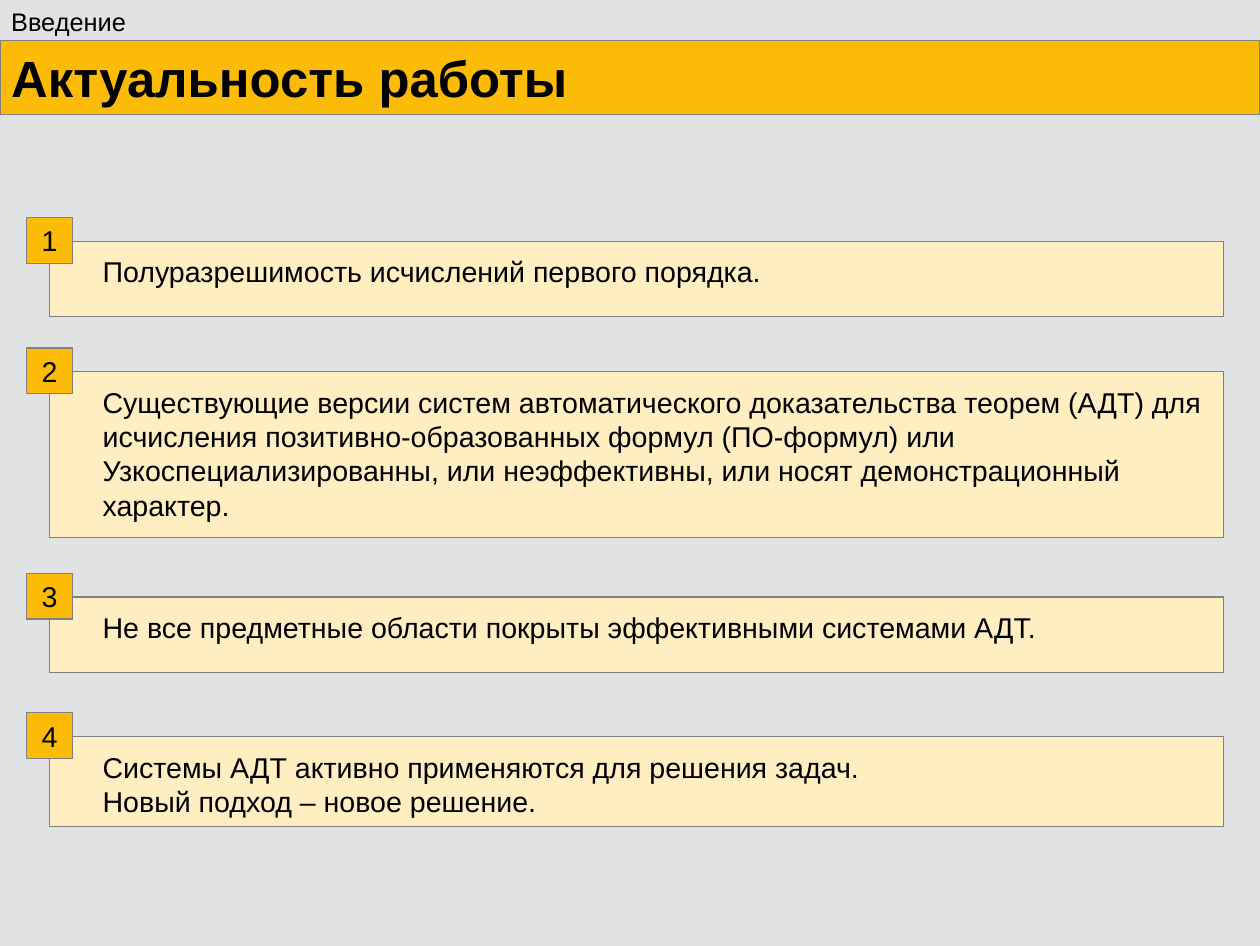
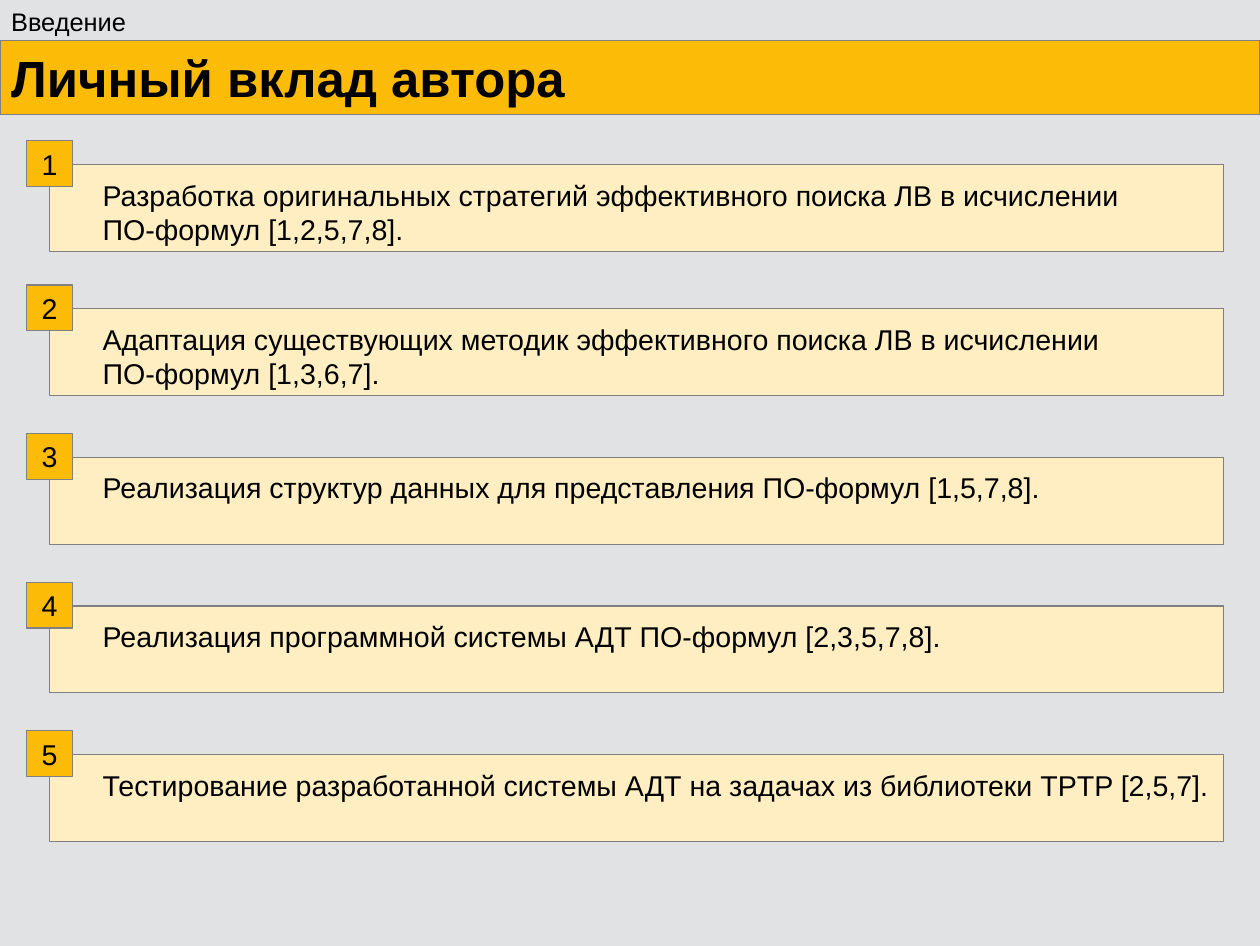
from dataclasses import dataclass

from pptx import Presentation
from pptx.dml.color import RGBColor
from pptx.enum.shapes import MSO_SHAPE
from pptx.enum.text import MSO_ANCHOR, PP_ALIGN
from pptx.util import Cm, Pt

RECT = MSO_SHAPE.RECTANGLE
TOP, MIDDLE = MSO_ANCHOR.TOP, MSO_ANCHOR.MIDDLE
LEFT, CENTER = PP_ALIGN.LEFT, PP_ALIGN.CENTER

# Content: each card is (top in cm, height in cm, lines)
SECTION = "Введение"
SLIDES = [
    ("Актуальность работы", [
        (5.36, 1.68, ["Полуразрешимость исчислений первого порядка."]),
        (8.26, 3.68, [
            "Существующие версии систем автоматического доказательства теорем (АДТ) для",
            "исчисления позитивно-образованных формул (ПО-формул) или",
            "Узкоспециализированны, или неэффективны, или носят демонстрационный",
            "характер."]),
        (13.26, 1.68, ["Не все предметные области покрыты эффективными системами АДТ."]),
        (16.36, 1.99, ["Системы АДТ активно применяются для решения задач.",
                       "Новый подход – новое решение."]),
    ]),
    ("Личный вклад автора", [
        (3.66, 1.93, ["Разработка оригинальных стратегий эффективного поиска ЛВ в исчислении",
                      "ПО-формул [1,2,5,7,8]."]),
        (6.86, 1.93, ["Адаптация существующих методик эффективного поиска ЛВ в исчислении",
                      "ПО-формул [1,3,6,7]."]),
        (10.16, 1.93, ["Реализация структур данных для представления ПО-формул [1,5,7,8]."]),
        (13.46, 1.93, ["Реализация программной системы АДТ ПО-формул [2,3,5,7,8]."]),
        (16.76, 1.93, ["Тестирование разработанной системы АДТ на задачах из библиотеки TPTP [2,5,7]."]),
    ]),
]


@dataclass(frozen=True)
class Theme:
    font: str = "Arial"
    page: str = "E1E2E4"
    accent: str = "FCBB06"
    card: str = "FFEEC1"
    line: str = "808080"
    text: str = "000000"
    title_size: int = 32
    section_size: int = 16
    body_size: int = 18


T = Theme()

# Layout in cm
PAGE_W, PAGE_H = 27.99, 21.01
BAND_TOP, BAND_H = 0.9, 1.64
CARD_X, CARD_W = 1.1, 26.09
TEXT_X, TEXT_W, TEXT_DROP = 2.03, 25.1, 0.16
TEXT_PAD, LINE_H = 0.25, 0.79
BADGE_X, BADGE, BADGE_RISE = 0.59, 1.02, 0.53


def write(sp, lines, size, bold=False, align=LEFT, anchor=TOP, wrap=True):
    tf = sp.text_frame
    frame = dict(word_wrap=wrap, vertical_anchor=anchor)
    for name, value in frame.items():
        setattr(tf, name, value)
    for i, line in enumerate(lines):
        p = tf.add_paragraph() if i else tf.paragraphs[0]
        p.alignment = align
        r = p.add_run()
        r.text = line
        for name, value in dict(name=T.font, size=Pt(size), bold=bold).items():
            setattr(r.font, name, value)
        r.font.color.rgb = RGBColor.from_string(T.text)


def add_rect(s, x, y, w, h, fill):
    sp = s.shapes.add_shape(RECT, Cm(x), Cm(y), Cm(w), Cm(h))
    sp.shadow.inherit = False
    sp.fill.solid()
    sp.fill.fore_color.rgb = RGBColor.from_string(fill)
    sp.line.color.rgb = RGBColor.from_string(T.line)
    sp.line.width = Pt(0)
    return sp


def add_text(s, x, y, w, h, lines, size):
    sp = s.shapes.add_textbox(Cm(x), Cm(y), Cm(w), Cm(h))
    write(sp, lines, size)


def add_header(s, title):
    band = add_rect(s, 0, BAND_TOP, PAGE_W, BAND_H, T.accent)
    write(band, [title], T.title_size, bold=True, anchor=MIDDLE)
    add_text(s, 0, 0.02, 3.2, 0.96, [SECTION], T.section_size)


def add_card(s, number, top, height, lines):
    add_rect(s, CARD_X, top, CARD_W, height, T.card)
    add_text(s, TEXT_X, top + TEXT_DROP, TEXT_W,
             TEXT_PAD + LINE_H * len(lines), lines, T.body_size)
    badge = add_rect(s, BADGE_X, top - BADGE_RISE, BADGE, BADGE, T.accent)
    write(badge, [str(number)], T.body_size, align=CENTER, anchor=MIDDLE, wrap=False)


def main():
    prs = Presentation()
    prs.slide_width, prs.slide_height = Cm(PAGE_W), Cm(PAGE_H)
    # Shared page colour
    page = prs.slide_master.background.fill
    page.solid()
    page.fore_color.rgb = RGBColor.from_string(T.page)

    for title, cards in SLIDES:
        s = prs.slides.add_slide(prs.slide_layouts[6])
        add_header(s, title)
        for number, card in enumerate(cards, 1):
            add_card(s, number, *card)
    prs.save("out.pptx")


if __name__ == "__main__":
    main()
